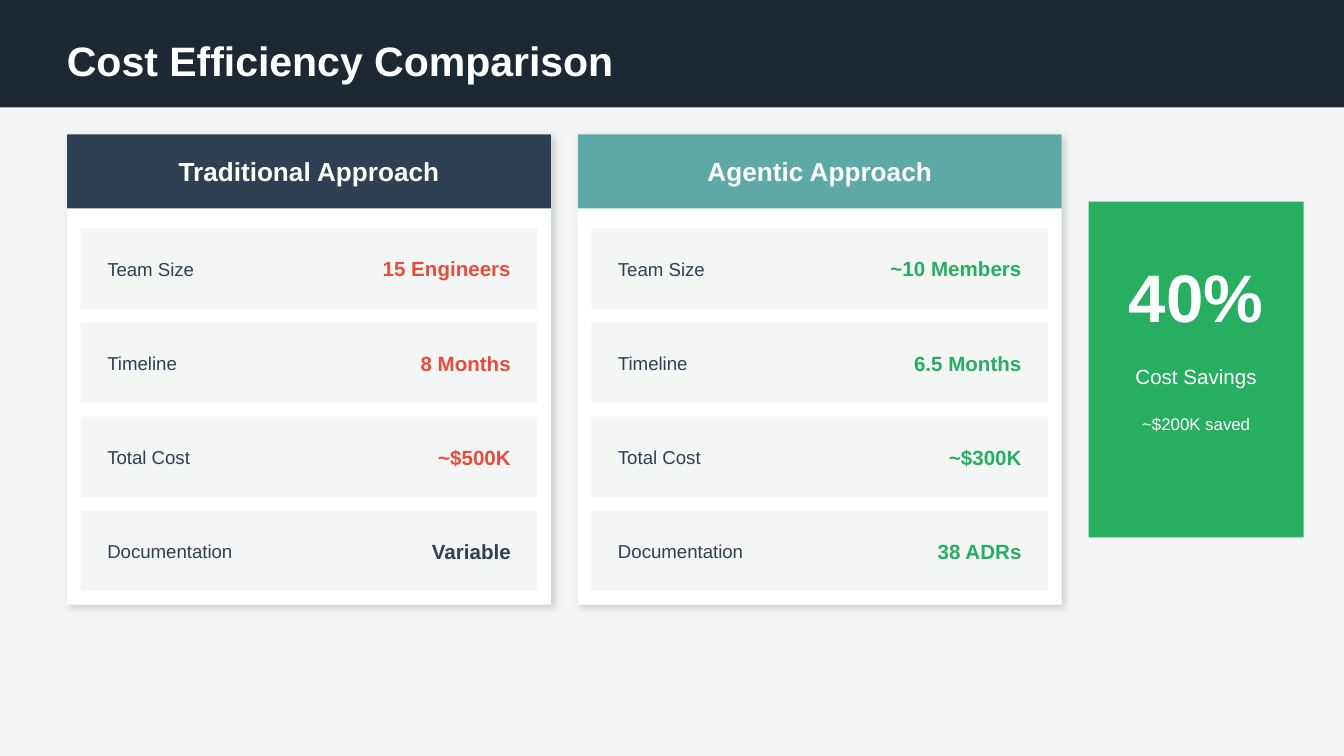
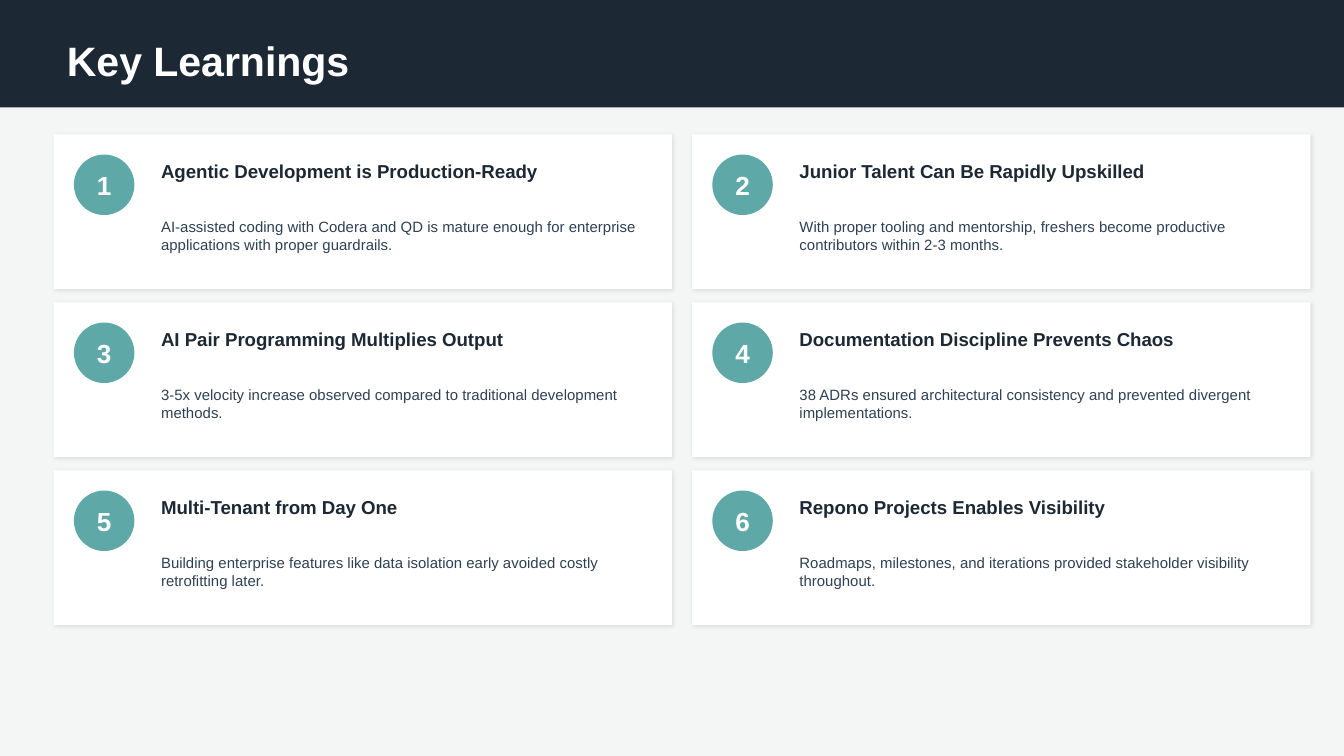
from lxml import etree
from pptx import Presentation
from pptx.dml.color import RGBColor
from pptx.enum.shapes import MSO_SHAPE as Shape
from pptx.enum.text import MSO_ANCHOR as Anchor, PP_ALIGN as Align
from pptx.oxml.ns import qn
from pptx.util import Inches, Pt

FONT = "Arial"
INK = RGBColor(0x1C, 0x28, 0x33)
NAVY = RGBColor(0x2E, 0x40, 0x53)
TEAL = RGBColor(0x5E, 0xA8, 0xA7)
MIST = RGBColor(0xF4, 0xF6, 0xF6)
WHITE = RGBColor(0xFF, 0xFF, 0xFF)
RED = RGBColor(0xE7, 0x4C, 0x3C)
GREEN = RGBColor(0x27, 0xAE, 0x60)

APPROACHES = [
    ("Traditional Approach", NAVY, [
        ("Team Size", "15 Engineers", RED),
        ("Timeline", "8 Months", RED),
        ("Total Cost", "~$500K", RED),
        ("Documentation", "Variable", NAVY),
    ]),
    ("Agentic Approach", TEAL, [
        ("Team Size", "~10 Members", GREEN),
        ("Timeline", "6.5 Months", GREEN),
        ("Total Cost", "~$300K", GREEN),
        ("Documentation", "38 ADRs", GREEN),
    ]),
]

LEARNINGS = [
    ("Agentic Development is Production-Ready",
     "AI-assisted coding with Codera and QD is mature enough for enterprise "
     "applications with proper guardrails."),
    ("Junior Talent Can Be Rapidly Upskilled",
     "With proper tooling and mentorship, freshers become productive "
     "contributors within 2-3 months."),
    ("AI Pair Programming Multiplies Output",
     "3-5x velocity increase observed compared to traditional development methods."),
    ("Documentation Discipline Prevents Chaos",
     "38 ADRs ensured architectural consistency and prevented divergent "
     "implementations."),
    ("Multi-Tenant from Day One",
     "Building enterprise features like data isolation early avoided costly "
     "retrofitting later."),
    ("Repono Projects Enables Visibility",
     "Roadmaps, milestones, and iterations provided stakeholder visibility "
     "throughout."),
]


def write(shape, text, size, color, bold=False, align=Align.LEFT):
    frame = shape.text_frame
    frame.word_wrap = True
    frame.vertical_anchor = Anchor.MIDDLE
    para = frame.paragraphs[0]
    para.alignment = align
    span = para.add_run()
    span.text = text
    font = span.font
    font.name, font.size, font.bold = FONT, Pt(size), bold
    font.color.rgb = color


def add_text(page, box, text, size, color, bold=False, align=Align.LEFT):
    label = page.shapes.add_textbox(*map(Inches, box))
    write(label, text, size, color, bold, align)


def add_block(page, box, fill, kind=Shape.RECTANGLE):
    """Add a filled shape without outline or shadow."""
    block = page.shapes.add_shape(kind, *map(Inches, box))
    block.shadow.inherit = False
    block.fill.solid()
    block.fill.fore_color.rgb = fill
    block.line.fill.background()
    return block


def add_card(page, box, opacity, blur, distance):
    """Add a white block with a soft shadow to the lower right."""
    card = add_block(page, box, WHITE)
    effects = card._element.spPr.find(qn("a:effectLst"))
    shadow = etree.SubElement(
        effects, qn("a:outerShdw"), blurRad=str(Pt(blur)), dist=str(Pt(distance)),
        dir=str(45 * 60000), algn="bl", rotWithShape="0")
    color = etree.SubElement(shadow, qn("a:srgbClr"), val="000000")
    etree.SubElement(color, qn("a:alpha"), val=str(opacity * 1000))


def add_page(deck, title):
    page = deck.slides.add_slide(deck.slide_layouts[6])
    page.background.fill.solid()
    page.background.fill.fore_color.rgb = MIST
    add_block(page, (0, 0, 10, 0.8), INK)
    add_text(page, (0.4, 0.2, 6, 0.5), title, 22, WHITE, True)
    return page


def add_approach(page, box, name, accent, metrics):
    left, top, width, height = box
    add_card(page, box, 15, 4, 2)
    header = add_block(page, (left, top, width, 0.55), accent)
    write(header, name, 14, WHITE, True, Align.CENTER)
    for index, (metric, value, color) in enumerate(metrics):
        y = top + 0.7 + 0.7 * index
        add_block(page, (left + 0.1, y, width - 0.2, 0.6), MIST)
        add_text(page, (left + 0.2, y, 1.5, 0.6), metric, 10, NAVY)
        add_text(page, (left + 1.7, y, width - 1.9, 0.6), value, 11, color, True,
                 Align.RIGHT)


def add_savings(page, box):
    left, top, width, height = box
    add_block(page, box, GREEN)
    for offset, line_height, text, size, bold in [
        (0.3, 0.8, "40%", 36, True),
        (1.1, 0.4, "Cost Savings", 11, False),
        (1.5, 0.3, "~$200K saved", 9, False),
    ]:
        add_text(page, (left, top + offset, width, line_height), text, size,
                 WHITE, bold, Align.CENTER)


def add_learning(page, box, number, heading, detail):
    left, top, width, height = box
    add_card(page, box, 10, 2, 1)
    badge = add_block(page, (left + 0.15, top + 0.15, 0.45, 0.45), TEAL, Shape.OVAL)
    badge.text_frame.margin_left = badge.text_frame.margin_right = 0
    write(badge, str(number), 14, WHITE, True, Align.CENTER)
    text_left, text_width = left + 0.7, width - 0.85
    add_text(page, (text_left, top + 0.1, text_width, 0.35), heading, 10, INK, True)
    add_text(page, (text_left, top + 0.45, text_width, 0.6), detail, 8, NAVY)


def build_comparison(deck):
    page = add_page(deck, "Cost Efficiency Comparison")
    for index, approach in enumerate(APPROACHES):
        add_approach(page, (0.5 + 3.8 * index, 1, 3.6, 3.5), *approach)
    add_savings(page, (8.1, 1.5, 1.6, 2.5))


def build_learnings(deck):
    page = add_page(deck, "Key Learnings")
    for index, learning in enumerate(LEARNINGS):
        row, column = divmod(index, 2)
        box = (0.4 + 4.75 * column, 1 + 1.25 * row, 4.6, 1.15)
        add_learning(page, box, index + 1, *learning)


def main():
    deck = Presentation()
    deck.slide_width = Inches(10)
    deck.slide_height = Inches(10 * 9 / 16)
    build_comparison(deck)
    build_learnings(deck)
    deck.save("out.pptx")


if __name__ == "__main__":
    main()
